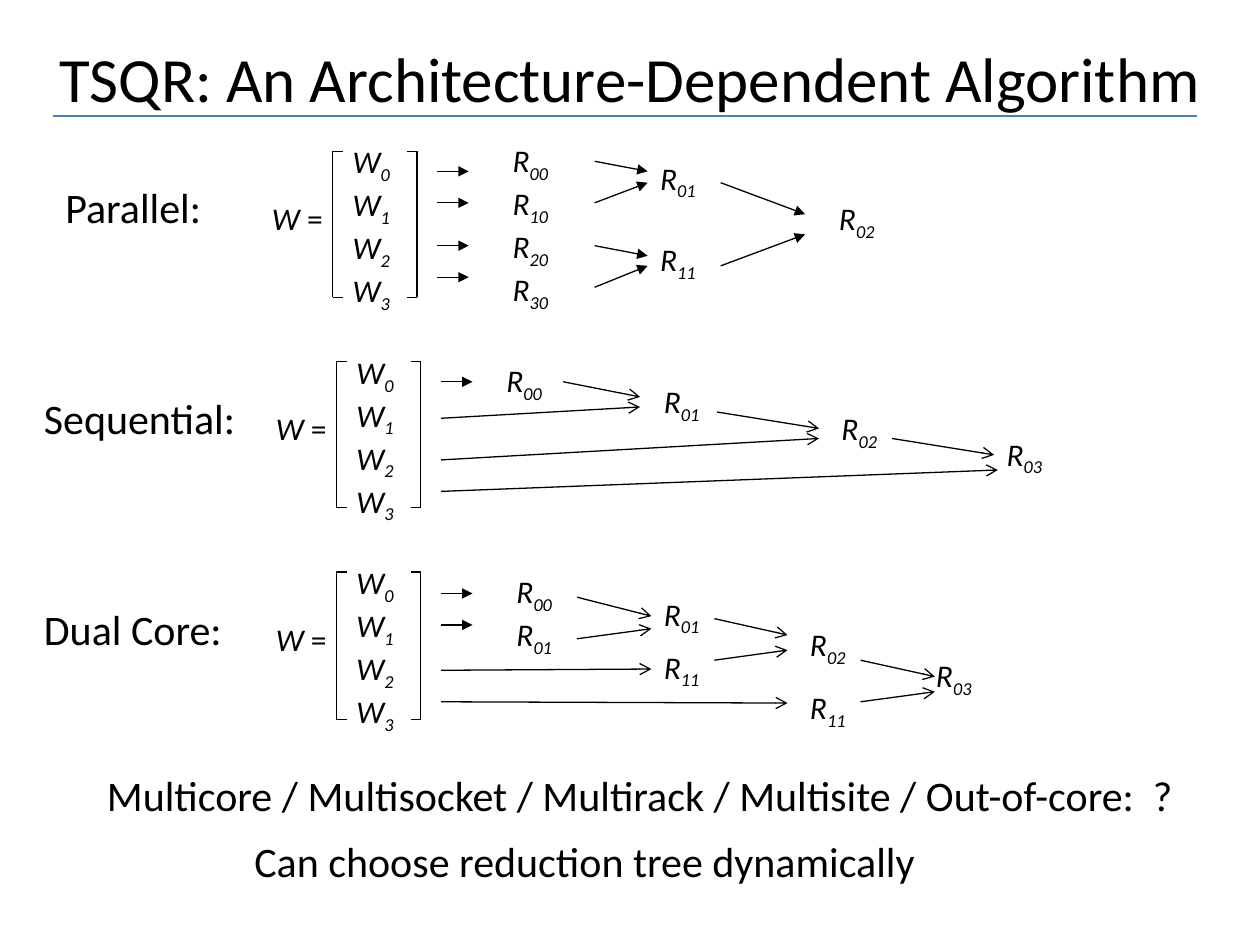
from lxml.etree import SubElement
from pptx import Presentation
from pptx.dml.color import RGBColor
from pptx.enum.shapes import MSO_CONNECTOR
from pptx.enum.text import MSO_ANCHOR, MSO_AUTO_SIZE, PP_ALIGN
from pptx.oxml.ns import qn
from pptx.util import Pt

SCALE = 9144
FONT = "Calibri"
COLORS = {"ink": "000000", "rule": "4B7EBC"}
ROW_HEIGHT, LINE_STEP = 44, 34

PANELS = [
    {
        "label": "Parallel:", "label_box": (-222, 19, 164, 51), "box": (264, 120, 67, 116),
        "leads": [16, 41, 75, 100], "head": "triangle",
        "factors": [(133, -13, ["00", "10", "20", "30"]), (250, 1, ["01"]),
                    (250, 66, ["11"]), (392, 33, ["02"])],
        "joins": [(208, 8, 250, 16), (208, 41, 250, 25), (208, 75, 250, 83),
                  (208, 108, 250, 91), (308, 25, 375, 50), (308, 91, 375, 66)],
    },
    {
        "label": "Sequential:", "label_box": (-242, 20, 200, 50), "box": (267, 287, 67, 116),
        "leads": [16], "head": "arrow",
        "factors": [(125, -5, ["00"]), (250, 11, ["01"]), (391, 33, ["02"]), (522, 53, ["03"])],
        "joins": [(83, 45, 241, 36), (180, 16, 241, 28), (302, 40, 383, 53),
                  (83, 78, 383, 61), (441, 61, 522, 74), (83, 103, 525, 86)],
    },
    {
        "label": "Dual Core:", "label_box": (-242, 20, 208, 51), "box": (267, 454, 67, 117),
        "leads": [17, 42], "head": "arrow",
        "factors": [(133, -5, ["00", "01"]), (250, 13, ["01"]), (250, 55, ["11"]),
                    (366, 37, ["02"]), (366, 87, ["11"]), (466, 62, ["03"])],
        "joins": [(191, 20, 250, 35), (191, 53, 250, 45), (300, 37, 358, 50),
                  (300, 70, 358, 62), (83, 78, 250, 77), (83, 103, 358, 104),
                  (416, 70, 475, 83), (416, 103, 475, 95)],
    },
]


def px(*lengths):
    return [length * SCALE for length in lengths]


def add_span(para, text, size, italic=False, subscript=False):
    span = para.add_run()
    span.text = text
    span.font.name = FONT
    span.font.size = Pt(size)
    span.font.italic = italic
    span.font.color.rgb = RGBColor.from_string(COLORS["ink"])
    if subscript:
        span.font._element.set("baseline", "-25000")


def add_frame(shapes, box, wrap=True):
    frame = shapes.add_textbox(*px(*box)).text_frame
    frame.word_wrap = wrap
    frame.auto_size = MSO_AUTO_SIZE.SHAPE_TO_FIT_TEXT
    return frame


def add_text(shapes, box, text, wrap=True, align=None):
    para = add_frame(shapes, box, wrap).paragraphs[0]
    para.alignment = align
    add_span(para, text, 24)


def add_line(shapes, ends, color="ink", head=None):
    line = shapes.add_connector(MSO_CONNECTOR.STRAIGHT, *px(*ends))
    line.line.color.rgb = RGBColor.from_string(COLORS[color])
    line.line.width = Pt(0.75)
    if head:
        SubElement(line.line._get_or_add_ln(), qn("a:tailEnd"), type=head)
    SubElement(line._element.spPr, qn("a:effectLst"))


def add_symbols(shapes, left, top, letter, indices):
    height = ROW_HEIGHT + LINE_STEP * (len(indices) - 1)
    frame = add_frame(shapes, (left, top, 55, height), wrap=False)
    for number, index in enumerate(indices):
        para = frame.add_paragraph() if number else frame.paragraphs[0]
        add_span(para, letter, 18, italic=True)
        add_span(para, index, 18, italic=True, subscript=True)


def add_matrix(shapes, box):
    left, top, width, height = box
    para = add_frame(shapes, (left - 58, top + 33, 75, ROW_HEIGHT)).paragraphs[0]
    add_span(para, "W", 18, italic=True)
    add_span(para, " =", 18)
    add_symbols(shapes, left + 6, top - 12, "W", "0123")
    for side, tick in ((left, 8), (left + width, -8)):
        add_line(shapes, (side, top, side, top + height))
        for edge in (top, top + height):
            add_line(shapes, (side, edge, side + tick, edge))


def add_panel(page, panel):
    shapes = page.shapes.add_group_shape().shapes
    left, top = panel["box"][:2]
    x, y, width, height = panel["label_box"]
    add_text(shapes, (left + x, top + y, width, height), panel["label"])
    add_matrix(shapes, panel["box"])
    for lead in panel["leads"]:
        add_line(shapes, (left + 83, top + lead, left + 108, top + lead), head="triangle")
    for x, y, indices in panel["factors"]:
        add_symbols(shapes, left + x, top + y, "R", indices)
    for x1, y1, x2, y2 in panel["joins"]:
        add_line(shapes, (left + x1, top + y1, left + x2, top + y2), head=panel["head"])


def add_header(page, box):
    left, top, width, height = box
    title = page.shapes.title
    title.left, title.top, title.width, title.height = px(*box)
    title.text_frame.vertical_anchor = MSO_ANCHOR.MIDDLE
    para = title.text_frame.paragraphs[0]
    para.alignment = PP_ALIGN.CENTER
    add_span(para, "TSQR: An Architecture-Dependent Algorithm", 36)
    bottom = top + height
    add_line(page.shapes, (left + 17, bottom, left + width - 25, bottom), "rule")


def add_closing(page, box):
    left, top, width, height = box
    add_text(page.shapes, (left, top, width, height),
             "Multicore / Multisocket / Multirack / Multisite / Out-of-core:  ?", wrap=False)
    add_text(page.shapes, (left + 114, top + 52, 550, height),
             "Can choose reduction tree dynamically", wrap=False, align=PP_ALIGN.CENTER)


def main():
    deck = Presentation()
    deck.slide_width, deck.slide_height = px(1000, 750)
    page = deck.slides.add_slide(deck.slide_layouts[5])
    add_header(page, (25, 30, 950, 62))
    for panel in PANELS:
        add_panel(page, panel)
    add_closing(page, (75, 606, 869, 51))
    deck.save("out.pptx")


if __name__ == "__main__":
    main()
